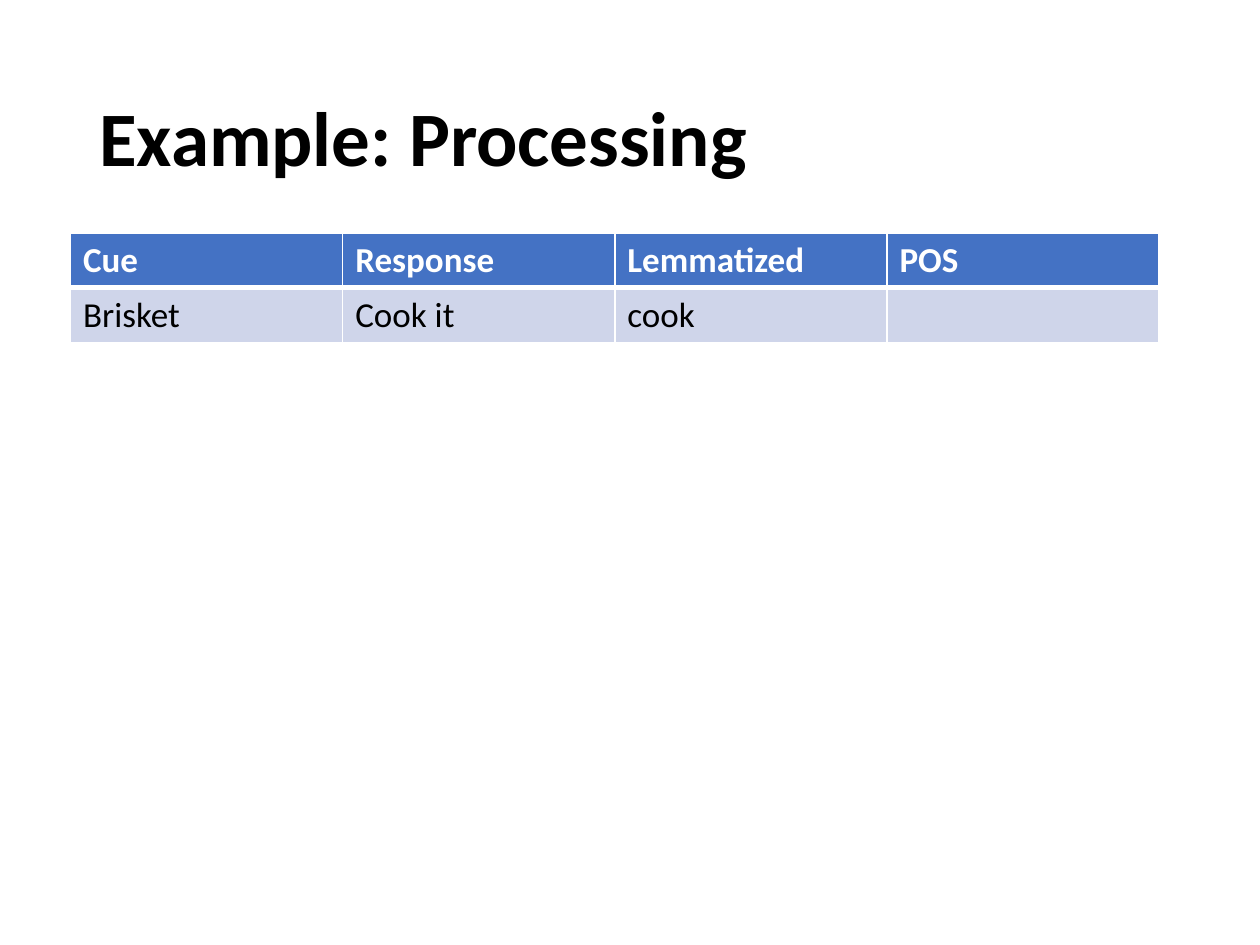
from dataclasses import dataclass

from lxml.etree import SubElement
from pptx import Presentation
from pptx.dml.color import RGBColor as RGB
from pptx.enum.text import MSO_ANCHOR as Anchor
from pptx.oxml.ns import qn
from pptx.util import Inches, Pt

TITLE = "Example: Processing"
ROWS = [
    ("Cue", "Response", "Lemmatized", "POS"),
    ("Brisket", "Cook it", "cook", ""),
]


@dataclass(frozen=True)
class Theme:
    """Colours, font and sizes of the slide."""
    font: str = "Calibri"
    ink: str = "000000"
    paper: str = "FFFFFF"
    header: str = "4472C4"
    body: str = "CFD5EA"
    title_size: int = 44
    cell_size: int = 20
    thin: int = 1
    thick: int = 3


THEME = Theme()
SLIDE_W, SLIDE_H = 10, 7.5
TITLE_BOX = (0.69, 0.4, 8.62, 1.45)
TABLE_LEFT, TABLE_TOP = 0.56, 1.85
COL_W, ROW_H = 2.16, 0.43


def write(frame, text, *, size, color, bold=False, spacing=None):
    """Put one formatted line of text into a text frame."""
    paragraph = frame.paragraphs[0]
    if spacing:
        paragraph.line_spacing = spacing
    run = paragraph.add_run()
    run.text = text
    run.font.name = THEME.font
    run.font.size = Pt(size)
    run.font.bold = bold
    run.font.color.rgb = RGB.from_string(color)


def set_borders(cell, **widths):
    """Draw the cell's borders; keys are L, R, T, B in points."""
    properties = cell._tc.get_or_add_tcPr()
    for side, width in widths.items():
        line = SubElement(properties, qn(f"a:ln{side}"), w=str(Pt(width)))
        fill = SubElement(line, qn("a:solidFill"))
        SubElement(fill, qn("a:srgbClr"), val=THEME.paper)


def add_title(slide):
    """Add the slide's heading."""
    box = slide.shapes.add_textbox(*map(Inches, TITLE_BOX))
    frame = box.text_frame
    frame.word_wrap = True
    frame.vertical_anchor = Anchor.MIDDLE
    write(frame, TITLE, size=THEME.title_size, color=THEME.ink,
          bold=True, spacing=0.9)


def add_word_table(slide):
    """Add the table of cues and processed responses."""
    n_rows, n_cols = len(ROWS), len(ROWS[0])
    table = slide.shapes.add_table(
        n_rows, n_cols, Inches(TABLE_LEFT), Inches(TABLE_TOP),
        Inches(n_cols * COL_W), Inches(n_rows * ROW_H)).table
    for column in table.columns:
        column.width = Inches(COL_W)
    for r, words in enumerate(ROWS):
        table.rows[r].height = Inches(ROW_H)
        is_header = r == 0
        for c, word in enumerate(words):
            cell = table.cell(r, c)
            set_borders(cell, L=THEME.thin, R=THEME.thin,
                        T=THEME.thin if is_header else THEME.thick,
                        B=THEME.thick if is_header else THEME.thin)
            cell.fill.solid()
            cell.fill.fore_color.rgb = RGB.from_string(
                THEME.header if is_header else THEME.body)
            if word:
                write(cell.text_frame, word, size=THEME.cell_size,
                      color=THEME.paper if is_header else THEME.ink,
                      bold=is_header)


def main():
    """Build and save the slide."""
    deck = Presentation()
    deck.slide_width, deck.slide_height = Inches(SLIDE_W), Inches(SLIDE_H)
    slide = deck.slides.add_slide(deck.slide_layouts[6])
    add_title(slide)
    add_word_table(slide)
    deck.save("out.pptx")


main()
